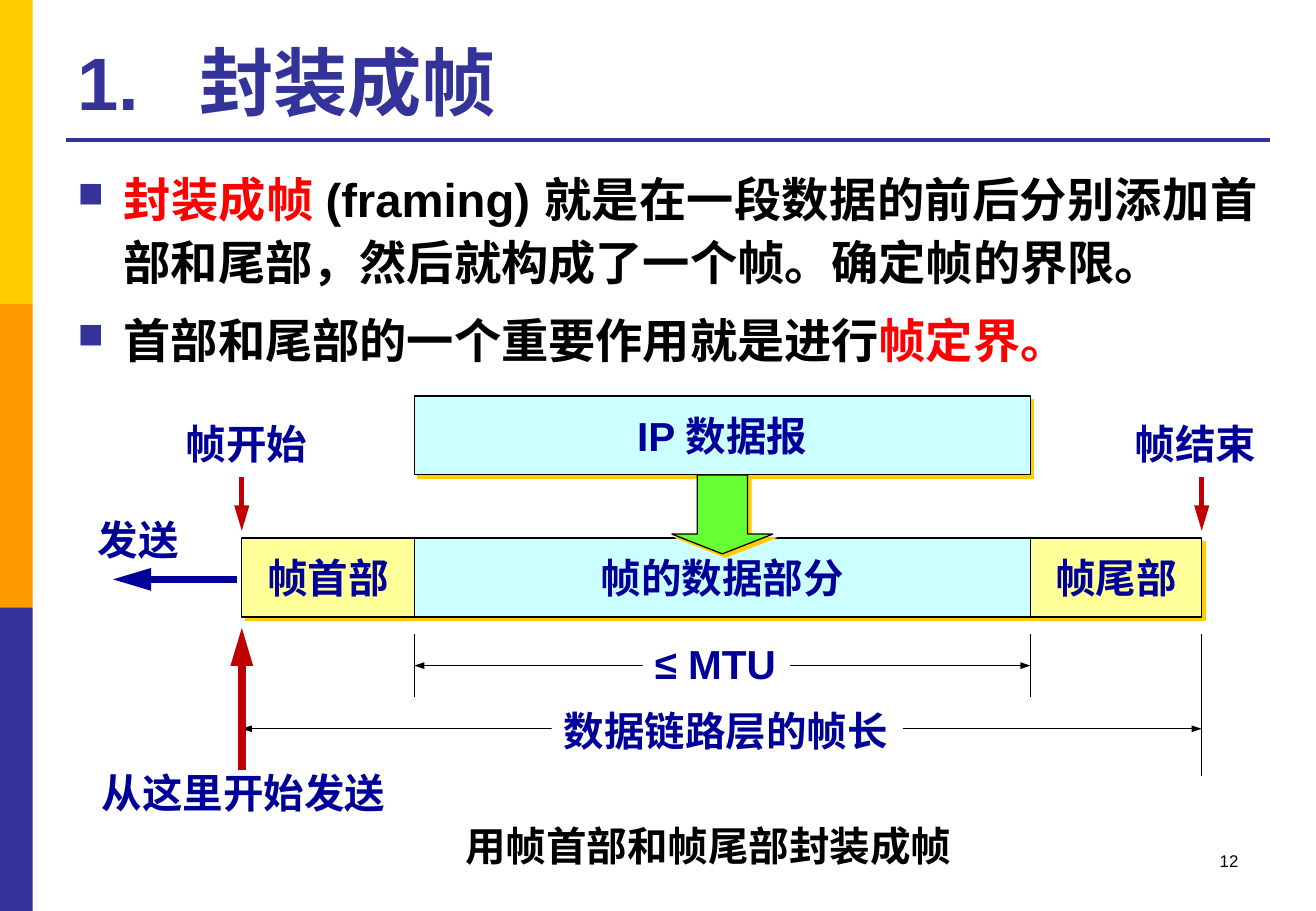
from lxml import etree
from pptx import Presentation
from pptx.dml.color import RGBColor
from pptx.enum.shapes import MSO_CONNECTOR, MSO_SHAPE
from pptx.enum.text import MSO_ANCHOR, MSO_AUTO_SIZE, PP_ALIGN
from pptx.oxml.ns import qn
from pptx.util import Inches, Pt

RECT, DOWN_ARROW = MSO_SHAPE.RECTANGLE, MSO_SHAPE.DOWN_ARROW
STRAIGHT = MSO_CONNECTOR.STRAIGHT
TOP, MIDDLE, BOTTOM = MSO_ANCHOR.TOP, MSO_ANCHOR.MIDDLE, MSO_ANCHOR.BOTTOM
LEFT, CENTER, RIGHT = PP_ALIGN.LEFT, PP_ALIGN.CENTER, PP_ALIGN.RIGHT
JUSTIFY, GROW = PP_ALIGN.JUSTIFY, MSO_AUTO_SIZE.SHAPE_TO_FIT_TEXT

GOLD = RGBColor(0xFF, 0xCC, 0x00)
ORANGE = RGBColor(0xFF, 0x99, 0x00)
INDIGO = RGBColor(0x33, 0x33, 0x99)
NAVY = RGBColor(0x00, 0x00, 0x99)
RED = RGBColor(0xFF, 0x00, 0x00)
CRIMSON = RGBColor(0xC0, 0x00, 0x00)
YELLOW = RGBColor(0xFF, 0xFF, 0x99)
CYAN = RGBColor(0xCC, 0xFF, 0xFF)
GREEN = RGBColor(0x66, 0xFF, 0x33)
BLACK = RGBColor(0, 0, 0)
WHITE = RGBColor(0xFF, 0xFF, 0xFF)

FONT = "Arial"
WIDTH, HEIGHT = 10.83, 7.5
MARGIN, CONTENT_W = 0.54, 9.91
LABEL_H, BAR_H = 0.5, 0.65
START, DATA, TRAILER, END = 1.99, 3.41, 8.48, 9.89
PACKET_Y, FRAME_Y = 3.26, 4.43
MTU_Y, LENGTH_Y, TICK_Y = 5.48, 6, 5.22
MARK_Y, MARK_W = 3.4, 1.21
THIN = 0.75

TITLE = "1.\t封装成帧"
BULLETS = [
    [("封装成帧 ", RED),
     ("(framing) 就是在一段数据的前后分别添加首部和尾部，然后就构成了一个帧。确定帧的界限。", BLACK)],
    [("首部和尾部的一个重要作用就是进行", BLACK), ("帧定界。", RED)],
]
STRIPES = [GOLD, ORANGE, INDIGO]
BARS = [
    ("帧首部", START, DATA, FRAME_Y, YELLOW),
    ("IP 数据报", DATA, TRAILER, PACKET_Y, CYAN),
    ("帧的数据部分", DATA, TRAILER, FRAME_Y, CYAN),
    ("帧尾部", TRAILER, END, FRAME_Y, YELLOW),
]
SPANS = [(DATA, TRAILER, MTU_Y), (START, END, LENGTH_Y)]
TICKS = [(DATA, 0.52), (TRAILER, 0.52), (END, 1.17)]
POINTERS = [
    (START, 5.17, START, 6.34, CRIMSON, 4.5),
    (START, 4.37, START, 3.93, CRIMSON, 3),
    (END, 4.37, END, 3.93, CRIMSON, 3),
    (0.93, 4.77, 1.95, 4.77, NAVY, 4.5),
]
LABELS = [
    ("帧开始", 1.43, MARK_Y, MARK_W, LEFT, False, WHITE, NAVY),
    ("帧结束", 9.24, MARK_Y, MARK_W, LEFT, False, WHITE, NAVY),
    ("≤ MTU", 5.29, 5.21, 1.21, LEFT, False, WHITE, NAVY),
    ("数据链路层的帧长", 4.54, 5.76, 2.89, LEFT, False, WHITE, NAVY),
    ("从这里开始发送", 0.59, 6.27, 2.83, CENTER, True, WHITE, NAVY),
    ("发送", 0.61, 4.19, 1.06, CENTER, True, None, NAVY),
    ("用帧首部和帧尾部封装成帧", 2.7, 6.71, 6.26, CENTER, True, None, BLACK),
]


def add_xml(parent, tag, **attrs):
    return etree.SubElement(parent, qn(tag), attrs)


def style(p, size, color, align=LEFT, bold=True):
    p.alignment = align
    p.font.name, p.font.size, p.font.bold = FONT, Pt(size), bold
    if color is not None:
        p.font.color.rgb = color


def add_block(slide, kind, x, y, w, h, fill):
    sp = slide.shapes.add_shape(kind, Inches(x), Inches(y), Inches(w), Inches(h))
    sp.shadow.inherit = False
    sp.fill.solid()
    sp.fill.fore_color.rgb = fill
    sp.line.fill.background()
    return sp


def add_outlined(slide, kind, x, y, w, h, fill):
    sp = add_block(slide, kind, x, y, w, h, fill)
    sp.line.color.rgb, sp.line.width = BLACK, Pt(THIN)
    effects = sp._element.spPr.find(qn("a:effectLst"))
    shadow = add_xml(effects, "a:outerShdw", dist=str(Pt(2.8)), dir="2700000",
                     algn="ctr", rotWithShape="0")
    add_xml(shadow, "a:srgbClr", val=str(GOLD))
    return sp


def add_line(slide, x1, y1, x2, y2, color, width, ends=(), size=("med", "lg")):
    line = slide.shapes.add_connector(
        STRAIGHT, Inches(x1), Inches(y1), Inches(x2), Inches(y2))
    line.line.color.rgb, line.line.width = color, Pt(width)
    for end in ends:
        add_xml(line.line._get_or_add_ln(), end, type="triangle", w=size[0], len=size[1])
    add_xml(line._element.spPr, "a:effectLst")


def add_text(slide, x, y, w, h, anchor=TOP, wrap=True):
    sp = slide.shapes.add_textbox(Inches(x), Inches(y), Inches(w), Inches(h))
    tf = sp.text_frame
    tf.word_wrap, tf.vertical_anchor = wrap, anchor
    return sp


def add_heading(slide):
    p = add_text(slide, MARGIN, 0.21, CONTENT_W, 0.87, BOTTOM).text_frame.paragraphs[0]
    p.text = TITLE
    tabs = add_xml(p._p.get_or_add_pPr(), "a:tabLst")
    add_xml(tabs, "a:tab", pos=str(Inches(1)), algn="l")
    style(p, 44, INDIGO)


def add_bullets(slide):
    tf = add_text(slide, MARGIN, 1.31, CONTENT_W, 1.85).text_frame
    for i, runs in enumerate(BULLETS):
        p = tf.add_paragraph() if i else tf.paragraphs[0]
        pPr = p._p.get_or_add_pPr()
        pPr.set("marL", str(Inches(0.38)))
        pPr.set("indent", str(-Inches(0.38)))
        add_xml(add_xml(pPr, "a:buClr"), "a:srgbClr", val=str(INDIGO))
        add_xml(pPr, "a:buSzPct", val="75000")
        add_xml(pPr, "a:buChar", char="■")
        p.line_spacing = 1.1
        p.space_before = Pt(9.5 if i else 0)
        style(p, 28, None, JUSTIFY)
        for text, color in runs:
            r = p.add_run()
            r.text = text
            r.font.color.rgb = color


def add_diagram(slide):
    for text, x1, x2, y, fill in BARS:
        tf = add_outlined(slide, RECT, x1, y, x2 - x1, BAR_H, fill).text_frame
        tf.word_wrap, tf.vertical_anchor = False, MIDDLE
        tf.text = text
        style(tf.paragraphs[0], 24, NAVY, CENTER)
    for x1, x2, y in SPANS:
        add_line(slide, x1, y, x2, y, BLACK, THIN, ("a:headEnd", "a:tailEnd"), ("sm", "med"))
    for x, length in TICKS:
        add_line(slide, x, TICK_Y, x, TICK_Y + length, BLACK, THIN)
    arrow_w = 0.83
    add_outlined(slide, DOWN_ARROW, (DATA + TRAILER - arrow_w) / 2, PACKET_Y + BAR_H,
                 arrow_w, BAR_H, GREEN).adjustments[1] = 0.25
    for text, x, y, w, align, wrap, fill, color in LABELS:
        sp = add_text(slide, x, y, w, LABEL_H, wrap=wrap)
        if fill is not None:
            sp.fill.solid()
            sp.fill.fore_color.rgb = fill
        sp.text_frame.auto_size = GROW
        p = sp.text_frame.paragraphs[0]
        p.text = text
        style(p, 24, color, align)
    for pointer in POINTERS:
        add_line(slide, *pointer, ends=("a:headEnd",))


def main():
    """Build the framing slide."""
    prs = Presentation()
    prs.slide_width, prs.slide_height = Inches(WIDTH), Inches(HEIGHT)
    slide = prs.slides.add_slide(prs.slide_layouts[6])
    stripe_h = HEIGHT / len(STRIPES)
    for i, color in enumerate(STRIPES):
        add_block(slide, RECT, 0, i * stripe_h, 0.27, stripe_h, color)
    add_line(slide, MARGIN, 1.15, MARGIN + CONTENT_W, 1.15, INDIGO, 2.25)
    add_heading(slide)
    add_bullets(slide)
    add_diagram(slide)
    p = add_text(slide, 7.76, 6.95, 2.53, LABEL_H).text_frame.paragraphs[0]
    p.text = "12"
    style(p, 10, BLACK, RIGHT, False)
    prs.save("out.pptx")


if __name__ == "__main__":
    main()
